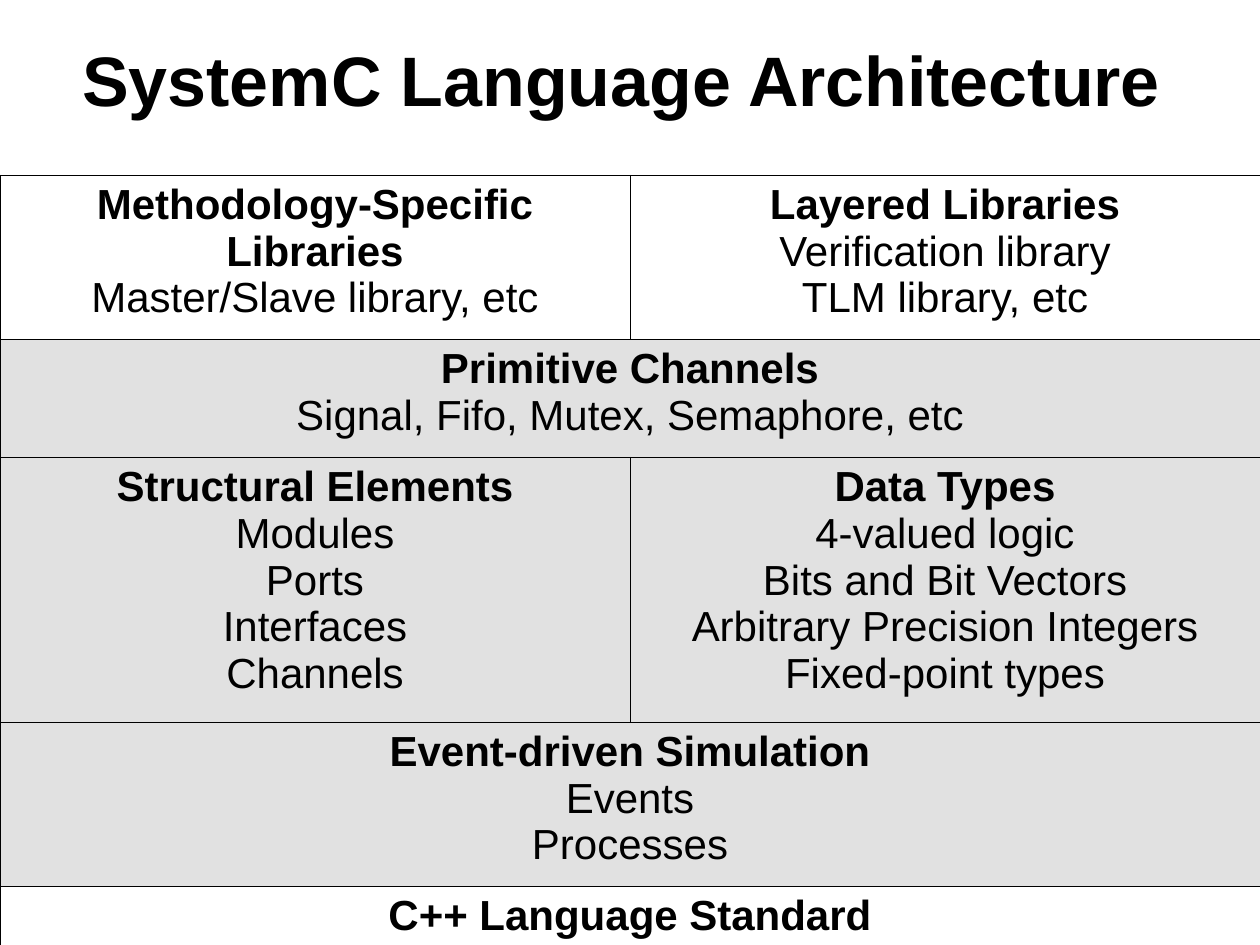
from lxml.etree import SubElement
from pptx import Presentation
from pptx.dml.color import RGBColor
from pptx.enum.text import MSO_ANCHOR, PP_ALIGN
from pptx.oxml.ns import qn
from pptx.util import Pt

COLORS = {"ink": "000000", "core": "E1E1E1"}
FONT = "Arial"
PAGE_WIDTH, PAGE_HEIGHT = 720, 540
BORDER_WIDTH = Pt(0.34)

# Each layer: height, whether it belongs to the core language, and its blocks
# as (heading, items). A layer with one block spans the full width.
LAYERS = [
    (93.7, False, [
        ("Methodology-Specific Libraries", ["Master/Slave library, etc"]),
        ("Layered Libraries", ["Verification library", "TLM library, etc"]),
    ]),
    (67.5, True, [
        ("Primitive Channels", ["Signal, Fifo, Mutex, Semaphore, etc"]),
    ]),
    (151.4, True, [
        ("Structural Elements", ["Modules", "Ports", "Interfaces", "Channels"]),
        ("Data Types", ["4-valued logic", "Bits and Bit Vectors",
                        "Arbitrary Precision Integers", "Fixed-point types"]),
    ]),
    (93.7, True, [
        ("Event-driven Simulation", ["Events", "Processes"]),
    ]),
    (43.5, False, [
        ("C++ Language Standard", []),
    ]),
]


def add_span(para, text, size, bold=False):
    span = para.add_run()
    span.text = text
    span.font.name = FONT
    span.font.size = Pt(size)
    span.font.bold = bold
    span.font.color.rgb = RGBColor.from_string(COLORS["ink"])


def add_title(page, left, top, width, height):
    box = page.shapes.add_textbox(Pt(left), Pt(top), Pt(width), Pt(height))
    frame = box.text_frame
    frame.word_wrap = True
    frame.vertical_anchor = MSO_ANCHOR.MIDDLE
    para = frame.paragraphs[0]
    para.alignment = PP_ALIGN.CENTER
    add_span(para, "SystemC Language Architecture ", 40, bold=True)


def add_borders(cell):
    properties = cell._tc.get_or_add_tcPr()
    for side in ("lnL", "lnR", "lnT", "lnB"):
        line = SubElement(properties, qn(f"a:{side}"), w=str(BORDER_WIDTH))
        fill = SubElement(line, qn("a:solidFill"))
        SubElement(fill, qn("a:srgbClr"), val=COLORS["ink"])


def style_cell(cell, is_core):
    add_borders(cell)
    if is_core:
        cell.fill.solid()
        cell.fill.fore_color.rgb = RGBColor.from_string(COLORS["core"])
    else:
        cell.fill.background()


def write_block(cell, heading, items):
    para = cell.text_frame.paragraphs[0]
    para.alignment = PP_ALIGN.CENTER
    add_span(para, heading, 24, bold=True)
    for item in items:
        para.add_line_break()
        add_span(para, item, 24)


def add_architecture(page, left, top, width):
    height = sum(layer[0] for layer in LAYERS)
    table = page.shapes.add_table(
        len(LAYERS), 2, Pt(left), Pt(top), Pt(width), Pt(height)).table
    table.first_row = table.horz_banding = False
    for row, (row_height, is_core, blocks) in zip(table.rows, LAYERS):
        row.height = Pt(row_height)
        cells = list(row.cells)
        for cell in cells:
            style_cell(cell, is_core)
        if len(blocks) == 1:
            cells[0].merge(cells[1])
        for cell, (heading, items) in zip(cells, blocks):
            write_block(cell, heading, items)


def main():
    deck = Presentation()
    deck.slide_width, deck.slide_height = Pt(PAGE_WIDTH), Pt(PAGE_HEIGHT)
    page = deck.slides.add_slide(deck.slide_layouts[6])
    add_title(page, 36.5, 0, 648, 90)
    add_architecture(page, 0, 100, PAGE_WIDTH)
    deck.save("out.pptx")


if __name__ == "__main__":
    main()
